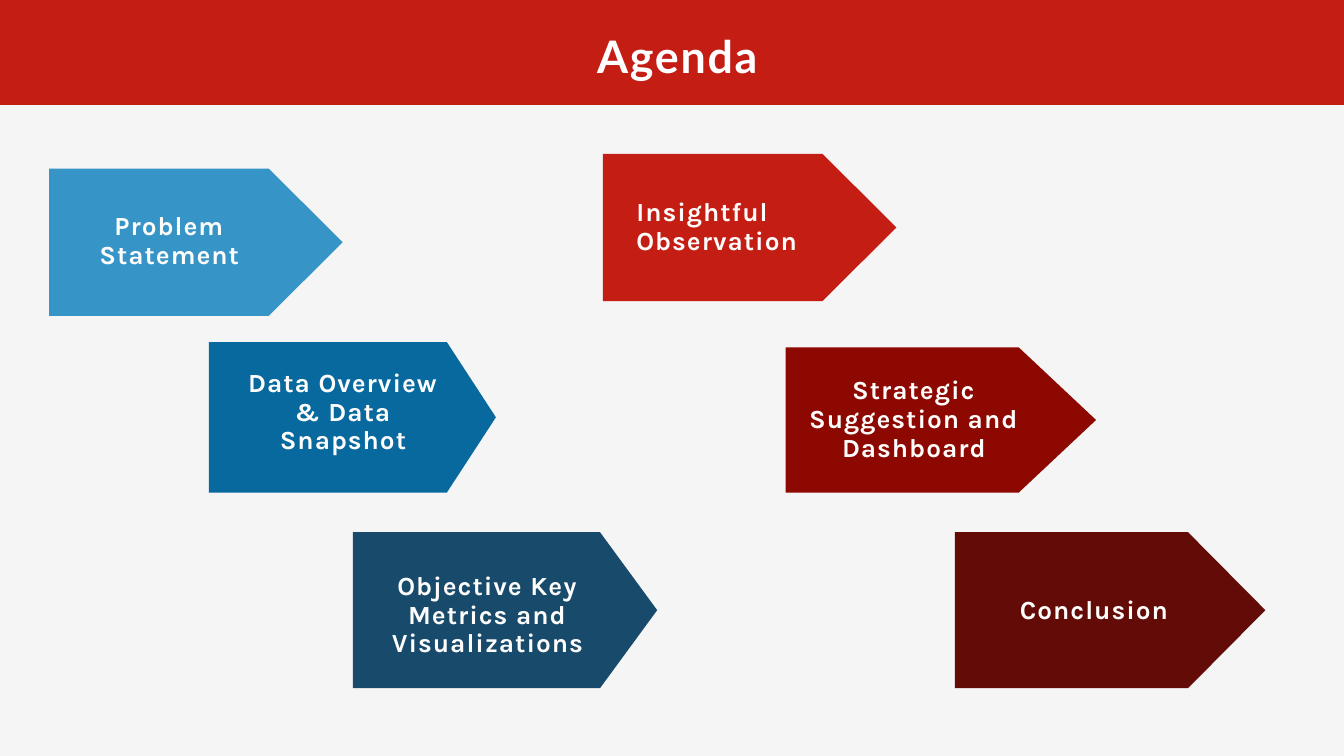
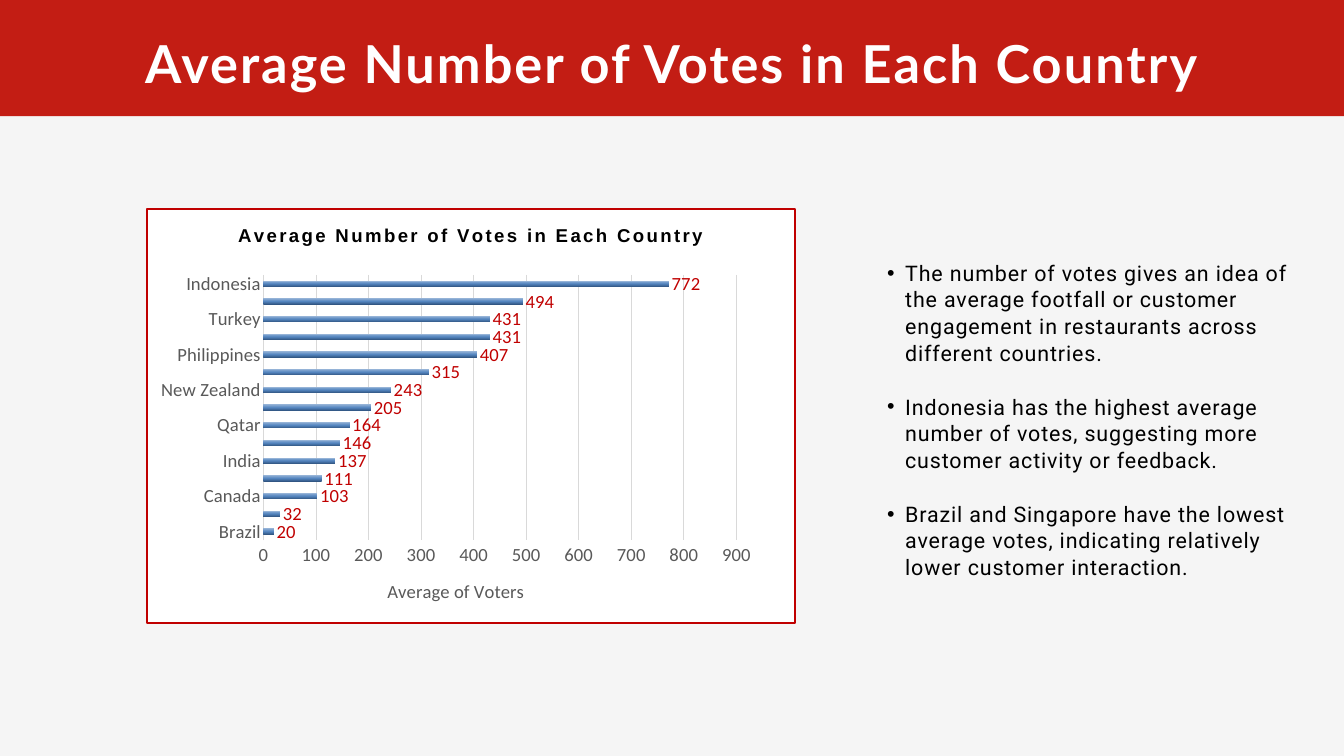
"""Build an agenda slide and a slide on average votes by country."""
from dataclasses import dataclass

import lxml.etree
import pptx
import pptx.chart.data
import pptx.dml.color
import pptx.enum.chart
import pptx.enum.shapes
import pptx.enum.text
import pptx.oxml
import pptx.oxml.ns
import pptx.util

Inches = pptx.util.Inches
Pt = pptx.util.Pt
Color = pptx.dml.color.RGBColor.from_string
Shape = pptx.enum.shapes.MSO_SHAPE
Align = pptx.enum.text.PP_ALIGN
Anchor = pptx.enum.text.MSO_ANCHOR
Fit = pptx.enum.text.MSO_AUTO_SIZE
qn = pptx.oxml.ns.qn


@dataclass(frozen=True)
class Theme:
    page: str = "F5F5F5"
    red: str = "C31D14"
    white: str = "FFFFFF"
    cream: str = "FEFDFC"
    black: str = "000000"
    gray: str = "595959"
    grid: str = "D9D9D9"
    mark: str = "C00000"
    step_size: float = 28
    body_size: float = 23
    chart_size: float = 20
    title_font: str = "Lato"
    step_font: str = "Karla"
    body_font: str = "Roboto"
    chart_font: str = "Calibri"
    chart_head: str = "Arial"


theme = Theme()


def write(par, text, *, font, size, color, bold=False, space=0, lead=None, align=None):
    """Add a run of text to a paragraph."""
    run = par.add_run()
    run.text = text
    run.font.name = font
    run.font.size = Pt(size)
    run.font.bold = bold
    run.font.color.rgb = Color(color)
    if space:
        run.font._element.set("spc", str(round(space * 100)))
    if lead:
        par.line_spacing = Pt(lead)
    if align is not None:
        par.alignment = align


def place(frame, inset, anchor):
    """Set the wrap, insets and anchor of a text frame."""
    frame.word_wrap = True
    frame.auto_size = Fit.NONE
    frame.vertical_anchor = anchor
    frame.margin_left = frame.margin_right = Inches(inset)
    frame.margin_top = frame.margin_bottom = Inches(inset)


deck = pptx.Presentation()
deck.slide_width, deck.slide_height = Inches(20), Inches(11.25)
back = deck.slide_master.background.fill
back.solid()
back.fore_color.rgb = Color(theme.page)

heads = [
    (5, "Agenda", 1.56, 0.16, 0.16, 48, 52.8, 1.9),
    (1, "Average Number of Votes in Each Country", 1.73, 0, 0.2, 56, 61.6, 2.2),
]
slides = []
for layout, text, high, left, top, size, lead, space in heads:
    slide = deck.slides.add_slide(deck.slide_layouts[layout])
    band = slide.shapes.add_shape(Shape.RECTANGLE, 0, 0, deck.slide_width, Inches(high))
    band.shadow.inherit = False
    band.fill.solid()
    band.fill.fore_color.rgb = Color(theme.red)
    band.line.fill.background()
    slide.shapes._spTree.insert(2, band._element)
    title = slide.shapes.title
    title.left, title.top = Inches(left), Inches(top)
    title.width, title.height = Inches(20 - left), Inches(high - top)
    place(title.text_frame, 0.06, Anchor.MIDDLE)
    write(title.text_frame.paragraphs[0], text, font=theme.title_font, size=size,
          color=theme.white, bold=True, space=space, lead=lead, align=Align.CENTER)
    slides.append(slide)
agenda, votes = slides

steps = [
    ("Problem Statement", "3794C7", (0.73, 2.51, 4.37, 2.19), 1.1, (1.11, 3.16, 2.82, 1.3)),
    ("Data Overview & Data Snapshot", "08699E", (3.11, 5.09, 4.27, 2.24), 0.73,
     (3.53, 5.49, 3.15, 1.66)),
    ("Objective Key Metrics and Visualizations", "184A6C", (5.25, 7.92, 4.53, 2.32), 0.85,
     (5.57, 8.51, 3.37, 1.72)),
    ("Insightful Observation", theme.red, (8.97, 2.29, 4.37, 2.19), 1.1,
     (9.47, 2.95, 2.86, 0.87)),
    ("Strategic Suggestion and Dashboard", "8C0801", (11.69, 5.17, 4.62, 2.16), 1.15,
     (11.91, 5.6, 3.38, 1.72)),
    ("Conclusion", "630C07", (14.21, 7.92, 4.62, 2.32), 1.15, (14.87, 8.87, 2.82, 0.44)),
]
for text, color, area, tip, label in steps:
    arrow = agenda.shapes.add_shape(Shape.PENTAGON, *map(Inches, area))
    arrow.adjustments[0] = tip / area[3]
    arrow.shadow.inherit = False
    arrow.fill.solid()
    arrow.fill.fore_color.rgb = Color(color)
    arrow.line.fill.background()
    frame = agenda.shapes.add_textbox(*map(Inches, label)).text_frame
    place(frame, 0, Anchor.TOP)
    write(frame.paragraphs[0], text, font=theme.step_font, size=theme.step_size,
          color=theme.cream, bold=True, space=1.1, lead=30.8,
          align=Align.LEFT if text.startswith("Insight") else Align.CENTER)

notes = [
    "The number of votes gives an idea of the average footfall or customer engagement "
    "in restaurants across different countries.",
    "Indonesia has the highest average number of votes, suggesting more customer "
    "activity or feedback.",
    "Brazil and Singapore have the lowest average votes, indicating relatively lower "
    "customer interaction.",
]
body = votes.placeholders[1]
body.left, body.top, body.width, body.height = map(Inches, (12.87, 3.09, 6.54, 6.3))
frame = body.text_frame
place(frame, 0.06, Anchor.MIDDLE)
for rank, note in enumerate(notes):
    par = frame.add_paragraph() if rank else frame.paragraphs[0]
    write(par, note, font=theme.body_font, size=theme.body_size, color=theme.black,
          space=0.9, lead=28.7, align=Align.LEFT)
    par.space_before = Pt(28.7 if rank else 0)
    props = par._p.get_or_add_pPr()
    props.set("marL", str(Inches(0.54)))
    props.set("indent", str(Inches(-0.27)))

counts = {
    "Brazil": 20, "Singapore": 32, "Canada": 103, "Australia": 111, "India": 137,
    "Sri Lanka": 146, "Qatar": 164, "United Kingdom": 205, "New Zealand": 243,
    "South Africa": 315, "Philippines": 407, "United States of America": 431,
    "Turkey": 431, "United Arab Emirates": 494, "Indonesia": 772,
}
data = pptx.chart.data.CategoryChartData(number_format="0")
data.categories = list(counts)
data.add_series("Series 1", list(counts.values()))
chart = votes.shapes.add_chart(
    pptx.enum.chart.XL_CHART_TYPE.BAR_CLUSTERED,
    *map(Inches, (2.17, 3.09, 9.67, 6.2)), data).chart
chart.has_legend = False
chart.font.name = theme.chart_font
chart.font.size = Pt(theme.chart_size)
chart.font.color.rgb = Color(theme.gray)
chart.has_title = True
write(chart.chart_title.text_frame.paragraphs[0], "Average Number of Votes in Each Country",
      font=theme.chart_head, size=theme.chart_size, color=theme.black, bold=True, space=2.4)
chart.chart_title.include_in_layout = False

ticks = pptx.enum.chart.XL_TICK_MARK.NONE
for axis in (chart.category_axis, chart.value_axis):
    axis.major_tick_mark = axis.minor_tick_mark = ticks
chart.category_axis.has_major_gridlines = False
chart.category_axis.format.line.color.rgb = Color(theme.grid)
scale = chart.value_axis
scale.minimum_scale, scale.maximum_scale, scale.major_unit = 0, 900, 100
scale.format.line.fill.background()
scale.has_major_gridlines = True
scale.major_gridlines.format.line.color.rgb = Color(theme.grid)
scale.major_gridlines.format.line.width = Pt(0.75)
scale.has_title = True
write(scale.axis_title.text_frame.paragraphs[0], "Average of Voters",
      font=theme.chart_font, size=theme.chart_size, color=theme.gray)

plot = chart.plots[0]
plot.gap_width = 182
plot.vary_by_categories = False
plot.has_data_labels = True
labels = plot.data_labels
labels.show_value = True
labels.number_format, labels.number_format_is_linked = "0", False
labels.position = pptx.enum.chart.XL_LABEL_POSITION.OUTSIDE_END
labels.font.name = theme.chart_font
labels.font.size = Pt(theme.chart_size)
labels.font.color.rgb = Color(theme.mark)

bars = plot.series[0]
bars.format.fill.gradient()
bars.format.fill.gradient_angle = 90
stops = bars._element.find(".//" + qn("a:gsLst"))
for stop in list(stops):
    stops.remove(stop)
for spot, color in ((0, "315683"), (48, "5485BF"), (100, "95B3D7")):
    stop = lxml.etree.SubElement(stops, qn("a:gs"), pos=str(spot * 1000))
    lxml.etree.SubElement(stop, qn("a:srgbClr"), val=color)

space = chart._chartSpace
field = space.find(".//" + qn("c:plotArea"))
for old in field.findall(qn("c:layout")):
    field.remove(old)
layout = lxml.etree.Element(qn("c:layout"))
manual = lxml.etree.SubElement(layout, qn("c:manualLayout"))
for tag, val in (("layoutTarget", "inner"), ("xMode", "edge"), ("yMode", "edge"),
                 ("x", 0.18), ("y", 0.16), ("w", 0.73), ("h", 0.64)):
    lxml.etree.SubElement(manual, qn("c:" + tag), val=str(val))
field.insert(0, layout)
names = pptx.oxml.ns.nsdecls("c", "a")
space.find(qn("c:chart")).addnext(pptx.oxml.parse_xml(
    f'<c:spPr {names}><a:solidFill><a:srgbClr val="{theme.white}"/></a:solidFill>'
    f'<a:ln w="{Pt(2)}"><a:solidFill><a:srgbClr val="{theme.mark}"/></a:solidFill></a:ln>'
    '</c:spPr>'))

deck.save("out.pptx")
